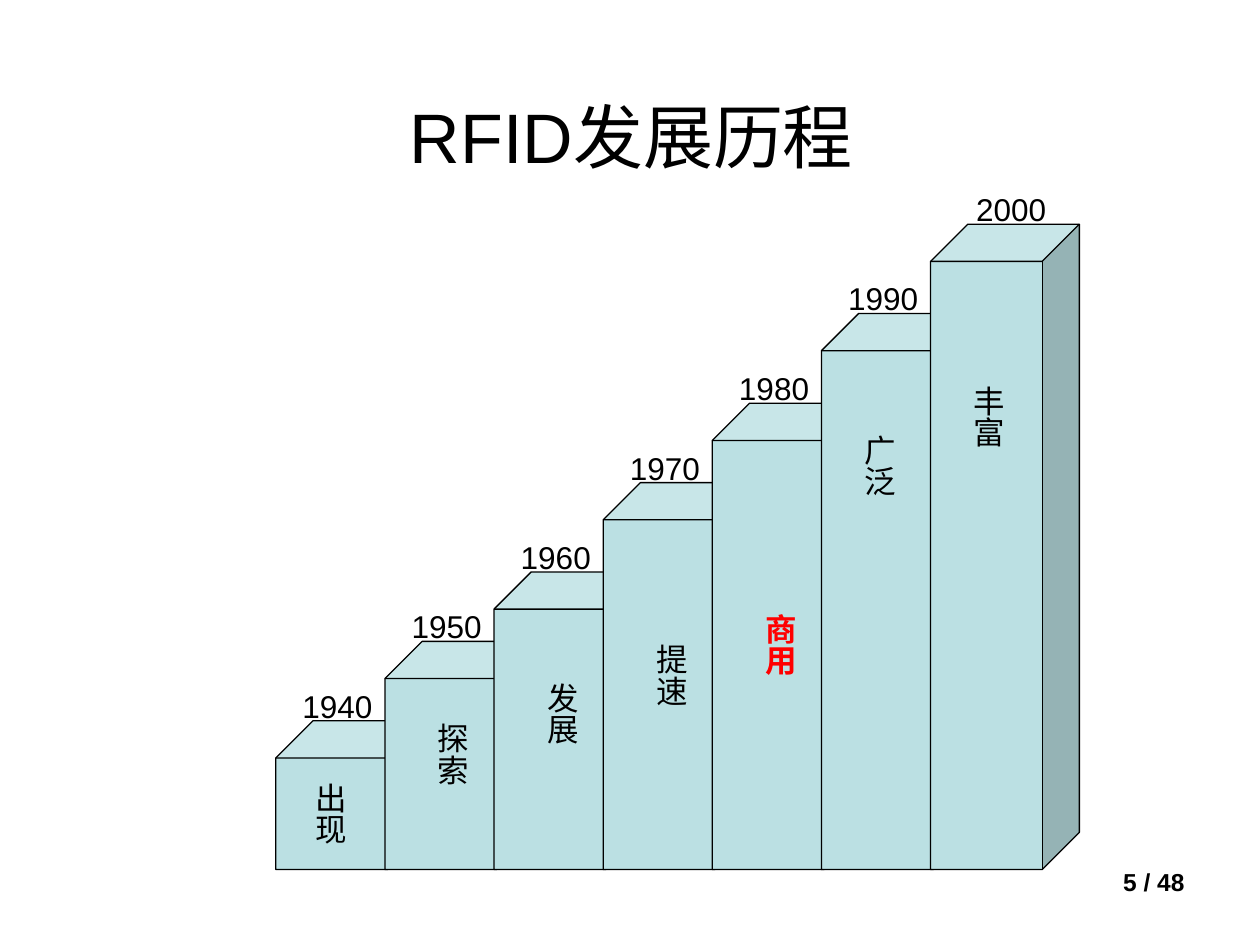
"""Build the RFID history slide: a staircase of cubes, one per decade."""
from pptx import Presentation
from pptx.dml.color import RGBColor
from pptx.enum.shapes import MSO_SHAPE as Shape
from pptx.enum.text import MSO_ANCHOR as Anchor, MSO_AUTO_SIZE as AutoSize, PP_ALIGN as Align
from pptx.util import Cm, Pt

BLACK = RGBColor(0x00, 0x00, 0x00)
RED = RGBColor(0xFF, 0x00, 0x00)
TEAL = RGBColor(0xBB, 0xE0, 0xE3)

TITLE = "RFID发展历程"
PAGE = "5 / 48"
FIRST_YEAR = 1940
STAGES = [
    {"name": "出现", "top": 14.53, "label": (0.33, 15.52, 1.8), "align": Align.RIGHT},
    {"name": "探索", "top": 12.93, "label": (0.6, 14.33, 2.8)},
    {"name": "发展", "top": 11.53, "label": (0.6, 13.51, 2.8)},
    {"name": "提速", "top": 9.73, "label": (0.6, 12.73, 2.8)},
    {"name": "商用", "top": 8.13, "label": (0.6, 12.12, 2.8),
     "font": {"bold": True, "color": RED}},
    {"name": "广泛", "top": 6.32, "label": (0.4, 8.51, 7.8)},
    {"name": "丰富", "top": 4.52, "label": (0.4, 7.52, 8.2), "year_shift": 0.58},
]
START, STEP, CUBE_WIDTH, BASELINE = 5.56, 2.2, 3, 17.53
YEAR_SHIFT, YEAR_RISE, YEAR_SIZE = 0.2, 0.81, (2, 1.02)
LABEL_WIDTH = 1.27


def add_text(slide, text, box, align, size=18, color=BLACK, bold=False, **frame_format):
    shape = slide.shapes.add_textbox(*map(Cm, box))
    frame = shape.text_frame
    for name, value in {"word_wrap": True, **frame_format}.items():
        setattr(frame, name, value)
    paragraph = frame.paragraphs[0]
    paragraph.text = text
    paragraph.alignment = align
    font = paragraph.runs[0].font
    for name, value in {"name": "Arial", "size": Pt(size), "bold": bold}.items():
        setattr(font, name, value)
    font.color.rgb = color
    return shape


def add_cube(slide, left, top):
    box = left, top, CUBE_WIDTH, BASELINE - top
    cube = slide.shapes.add_shape(Shape.CUBE, *map(Cm, box))
    cube.adjustments[0] = 0.25
    cube.shadow.inherit = False
    cube.fill.solid()
    cube.fill.fore_color.rgb = TEAL
    cube.line.color.rgb = BLACK
    cube.line.width = Pt(0.75)


def main():
    presentation = Presentation()
    presentation.slide_width, presentation.slide_height = Cm(25.4), Cm(19.05)
    slide = presentation.slides.add_slide(presentation.slide_layouts[6])
    add_text(slide, PAGE, (18.21, 17.35, 5.92, 1.32), Align.RIGHT, 14, bold=True)
    add_text(slide, TITLE, (1.3, 1.73, 22.86, 2), Align.CENTER, 40,
             vertical_anchor=Anchor.MIDDLE)

    lefts = [START + STEP * index for index in range(len(STAGES))]
    for left, stage in zip(lefts, STAGES):
        add_cube(slide, left, stage["top"])

    for index, (left, stage) in enumerate(zip(lefts, STAGES)):
        year_left = left + stage.get("year_shift", YEAR_SHIFT)
        year_box = year_left, stage["top"] - YEAR_RISE, *YEAR_SIZE
        add_text(slide, str(FIRST_YEAR + 10 * index), year_box, Align.RIGHT,
                 auto_size=AutoSize.SHAPE_TO_FIT_TEXT)
        shift, top, height = stage["label"]
        label = add_text(slide, stage["name"], (left + shift, top, LABEL_WIDTH, height),
                         stage.get("align", Align.CENTER), **stage.get("font", {}),
                         auto_size=AutoSize.SHAPE_TO_FIT_TEXT)
        label.element.txBody.bodyPr.set("vert", "eaVert")

    presentation.save("out.pptx")


if __name__ == "__main__":
    main()
